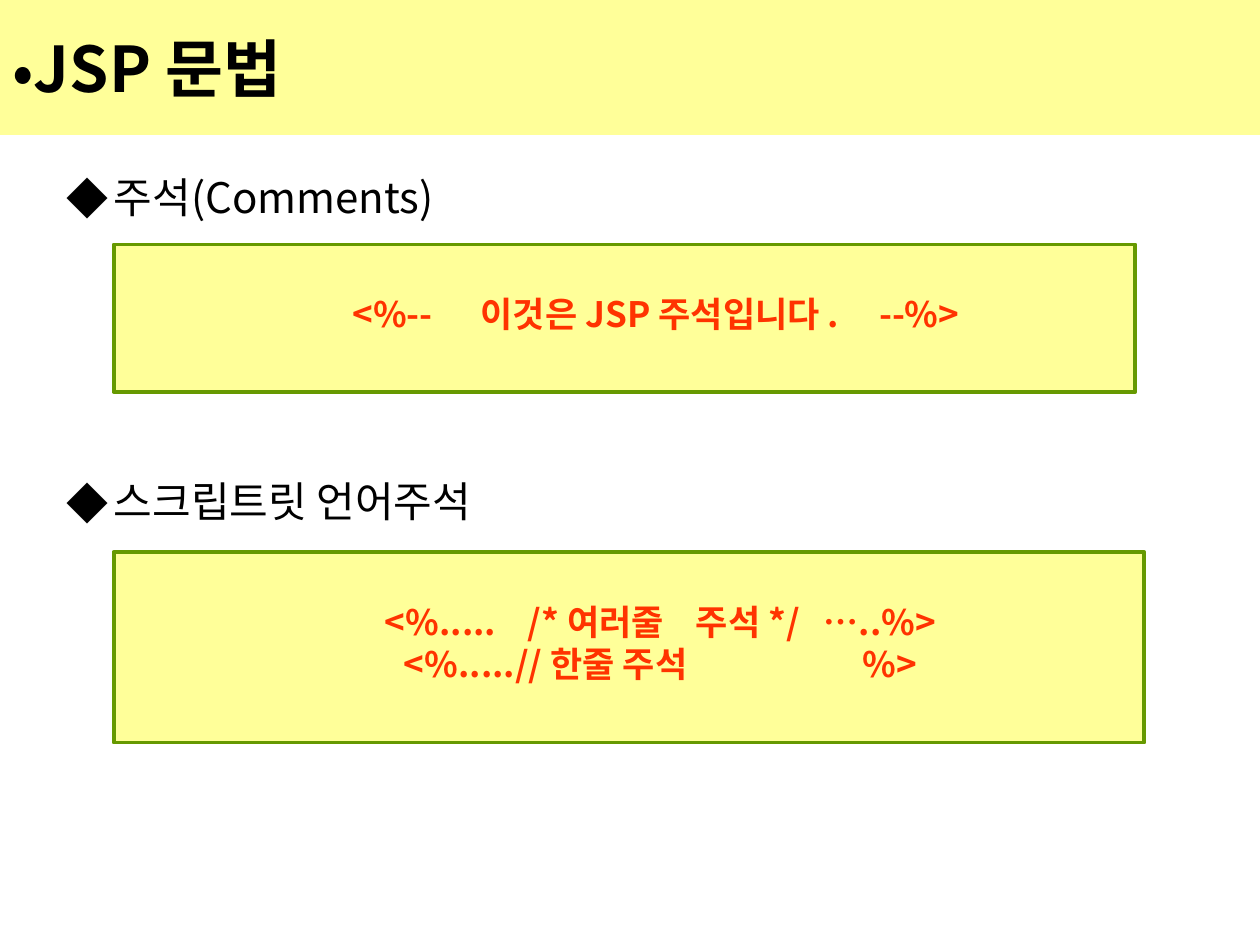
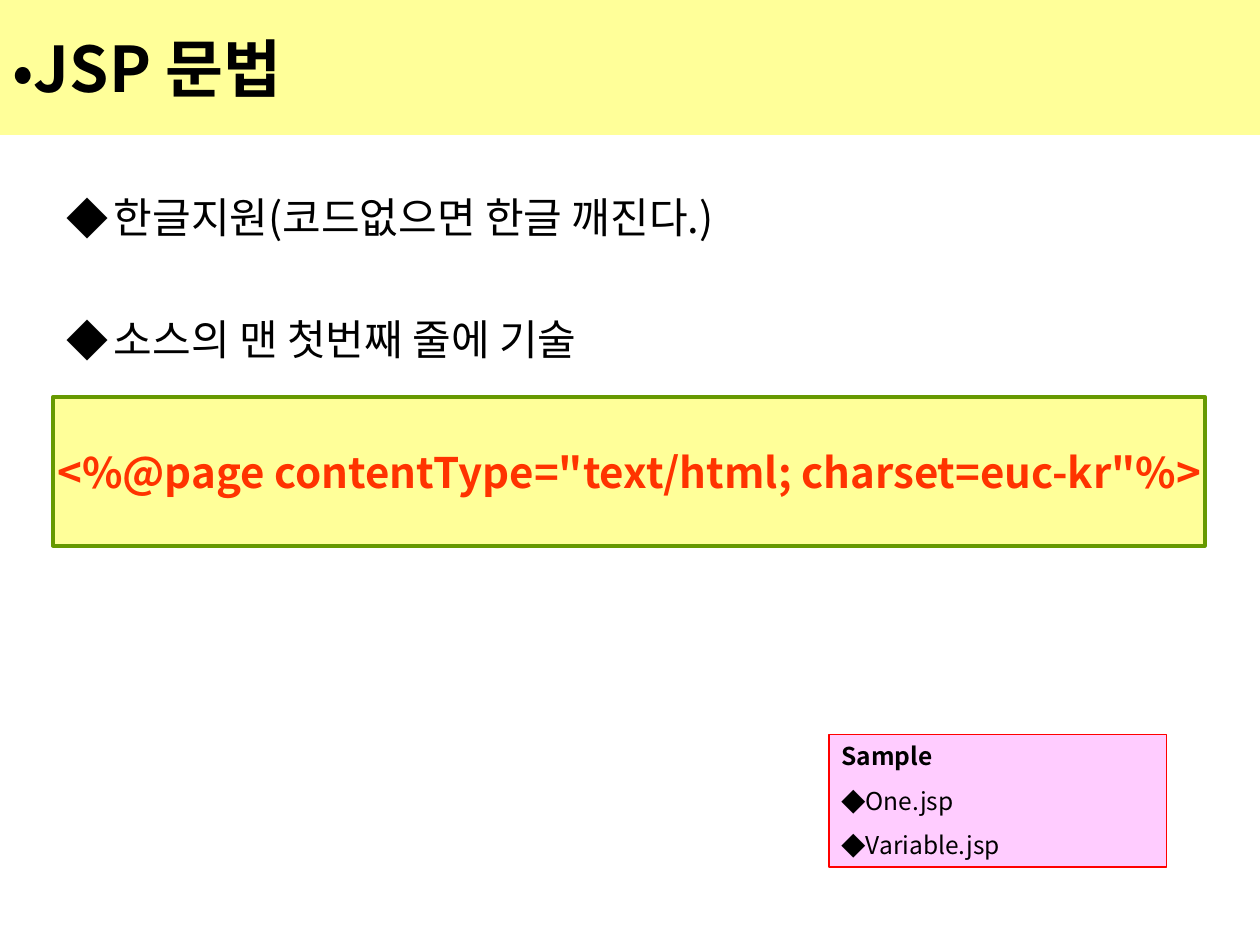
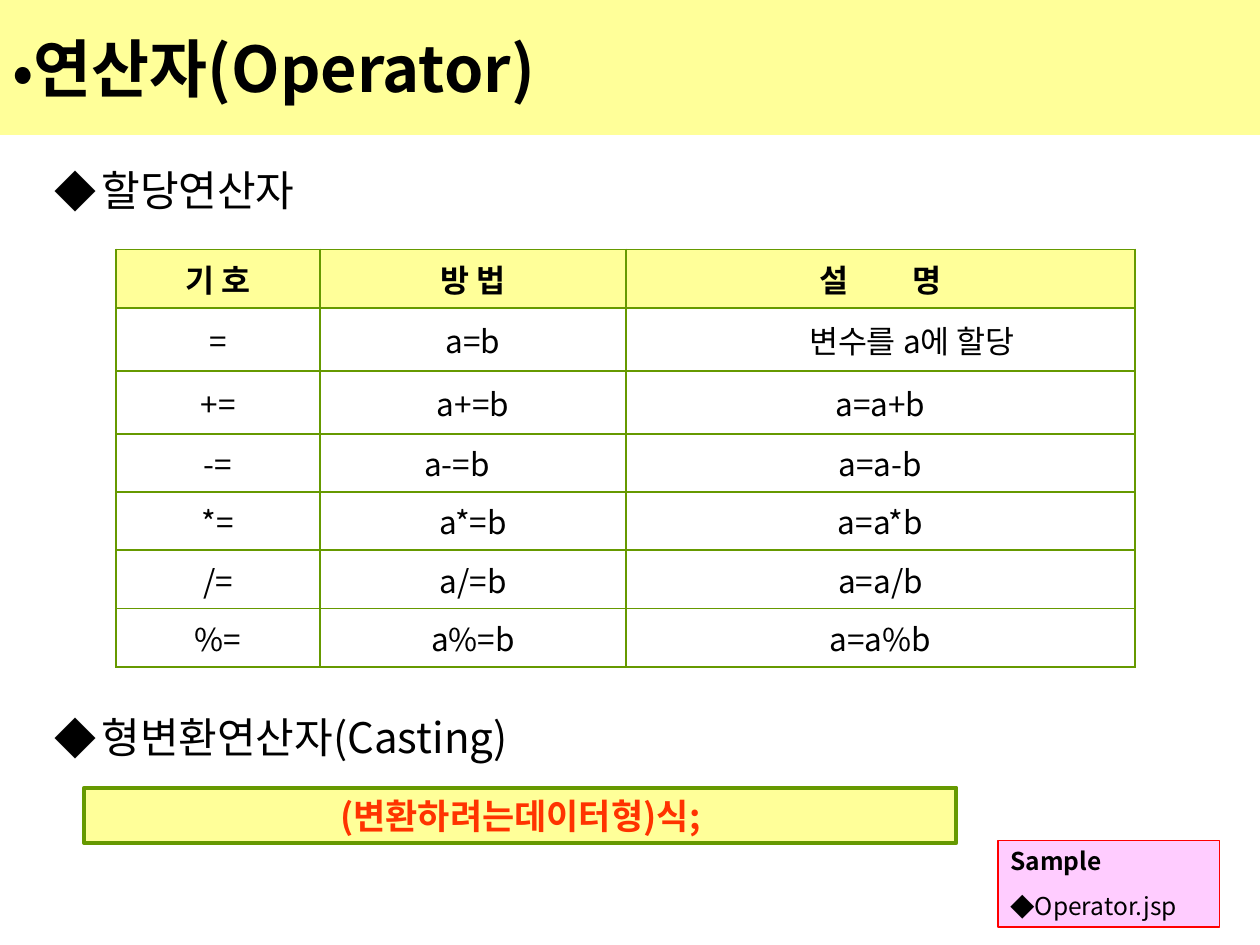
from dataclasses import dataclass

from lxml import etree
from pptx import Presentation
from pptx.dml.color import RGBColor
from pptx.enum.shapes import MSO_SHAPE
from pptx.enum.text import MSO_ANCHOR, MSO_AUTO_SIZE, PP_ALIGN
from pptx.oxml.ns import qn
from pptx.util import Cm, Pt

RECTANGLE = MSO_SHAPE.RECTANGLE
LEFT, CENTER = PP_ALIGN.LEFT, PP_ALIGN.CENTER
TOP, MIDDLE = MSO_ANCHOR.TOP, MSO_ANCHOR.MIDDLE
NO_AUTOFIT = MSO_AUTO_SIZE.NONE

FONT = "Noto Sans CJK KR"
COLORS = {
    "band": "FFFF99",
    "frame": "669900",
    "code": "FF3300",
    "text": "000000",
    "sample": "FFCCFF",
    "sample_line": "FF0000",
}
TOPIC_GAP = 6  # points between neighbouring topics
TOPIC_LINE = 28.74  # height in points of a topic line


@dataclass
class Area:
    """A place on the slide, in centimetres."""
    left: float
    top: float
    width: float
    height: float

    def lengths(self) -> tuple:
        return Cm(self.left), Cm(self.top), Cm(self.width), Cm(self.height)


@dataclass
class CodeBox:
    area: Area
    lines: list[str]
    size: int = 20
    indent: float = 0.25
    top_margin: float = 0.13
    anchor: MSO_ANCHOR = TOP
    wrap: bool = True


@dataclass
class SampleBox:
    area: Area
    files: list[str]


@dataclass
class Topics:
    area: Area
    entries: list[str]
    skipped_lines: int = 0  # room left between entries, in lines


# Shared text and shape helpers
def rgb(name: str) -> RGBColor:
    return RGBColor.from_string(COLORS[name])


def style(paragraph, size: float, bold: bool = False, color: str = "text",
          align=LEFT, before: float = 0, bullet: str = "", hanging: float = 0) -> None:
    paragraph.alignment = align
    paragraph.space_before = Pt(before)
    properties = paragraph._p.get_or_add_pPr()
    properties.set("marL", str(Cm(hanging)))
    properties.set("indent", str(-Cm(hanging)))
    if bullet:
        etree.SubElement(properties, qn("a:buFont"), typeface=FONT)
        etree.SubElement(properties, qn("a:buChar"), char=bullet)
    font = paragraph.font
    font.name, font.size, font.bold = FONT, Pt(size), bold
    font.color.rgb = rgb(color)
    defaults = properties.find(qn("a:defRPr"))
    etree.SubElement(defaults, qn("a:ea"), typeface=FONT)


def fill_paragraphs(frame, lines: list[str]):
    frame.text = "\n".join(lines)
    return frame.paragraphs


def place(shape, area: Area) -> None:
    shape.left, shape.top, shape.width, shape.height = area.lengths()


def add_panel(slide, area: Area, fill: str, line: str, line_width: float):
    panel = slide.shapes.add_shape(RECTANGLE, *area.lengths())
    panel.shadow.inherit = False
    panel.fill.solid()
    panel.fill.fore_color.rgb = rgb(fill)
    panel.line.color.rgb = rgb(line)
    panel.line.width = Pt(line_width)
    return panel


# Slide parts
def add_topic_slide(prs, heading: str, topics: Topics):
    slide = prs.slides.add_slide(prs.slide_layouts[1])
    title, body = slide.placeholders
    place(title, Area(0, 0, 25.4, 2.72))
    title.fill.solid()
    title.fill.fore_color.rgb = rgb("band")
    title.text_frame.text = heading
    title.text_frame.vertical_anchor = MIDDLE
    title.text_frame.auto_size = NO_AUTOFIT
    style(title.text_frame.paragraphs[0], 36, bold=True, bullet="•")

    place(body, topics.area)
    body.text_frame.auto_size = NO_AUTOFIT
    gap = TOPIC_GAP + topics.skipped_lines * (TOPIC_LINE + TOPIC_GAP)
    for i, paragraph in enumerate(fill_paragraphs(body.text_frame, topics.entries)):
        style(paragraph, 24, before=gap if i else 0, bullet="◆", hanging=0.95)
    return slide


def add_code(slide, code: CodeBox) -> None:
    frame = add_panel(slide, code.area, "band", "frame", 2.25).text_frame
    frame.word_wrap = code.wrap
    frame.vertical_anchor = code.anchor
    frame.margin_left, frame.margin_top = Cm(code.indent), Cm(code.top_margin)
    for paragraph in fill_paragraphs(frame, code.lines):
        style(paragraph, code.size, bold=True, color="code", align=CENTER)


def add_sample(slide, sample: SampleBox) -> None:
    frame = add_panel(slide, sample.area, "sample", "sample_line", 0.75).text_frame
    frame.word_wrap = True
    frame.vertical_anchor = TOP
    heading, *files = fill_paragraphs(frame, ["Sample", *sample.files])
    style(heading, 14, bold=True)
    for file in files:
        style(file, 14, before=8.8, bullet="◆")


def add_borders(cell) -> None:
    properties = cell._tc.get_or_add_tcPr()
    for i, side in enumerate(("lnL", "lnR", "lnT", "lnB")):
        border = etree.Element(qn(f"a:{side}"), w=str(Pt(1.08)))
        fill = etree.SubElement(border, qn("a:solidFill"))
        etree.SubElement(fill, qn("a:srgbClr"), val=COLORS["frame"])
        properties.insert(i, border)


def add_operator_table(slide) -> None:
    operators = ["=", "+=", "-=", "*=", "/=", "%="]
    rows = [["기 호", "방 법", "설 명"], ["=", "a=b", "변수를 a에 할당"]]
    rows += [[op, f"a{op}b", f"a=a{op[0]}b"] for op in operators[1:]]
    widths = [4.11, 6.17, 10.26]
    heights = [1.07, 1.27, 1.27, 1.09, 1.07, 1.07, 1.07]
    area = Area(2.34, 5.03, sum(widths), sum(heights))
    table = slide.shapes.add_table(len(rows), len(widths), *area.lengths()).table
    for column, width in zip(table.columns, widths):
        column.width = Cm(width)
    for r, (row, height) in enumerate(zip(rows, heights)):
        table.rows[r].height = Cm(height)
        for c, text in enumerate(row):
            cell = table.cell(r, c)
            cell.text = text
            cell.vertical_anchor = MIDDLE
            if r == 0:
                cell.fill.solid()
                cell.fill.fore_color.rgb = rgb("band")
            else:
                cell.fill.background()
            style(cell.text_frame.paragraphs[0], 18, bold=r == 0, align=CENTER)
            add_borders(cell)
    table.cell(1, 2).margin_left = Cm(1.52)
    table.cell(3, 1).margin_right = Cm(0.9)

    # Spread the two syllables of the last heading
    meaning = table.cell(0, 2).text_frame.paragraphs[0]
    first = meaning.runs[0]
    first.text = "설 "
    first._r.get_or_add_rPr().set("spc", "1600")
    meaning.add_run().text = "명"


def main() -> None:
    prs = Presentation()
    prs.slide_width, prs.slide_height = Cm(25.4), Cm(19.05)

    # Comments
    comments = add_topic_slide(prs, "JSP 문법", Topics(
        Area(1.09, 3.33, 22.86, 12.57), ["주석(Comments)", "스크립트릿 언어주석"], 4))
    add_code(comments, CodeBox(
        Area(2.29, 11.13, 20.78, 3.84),
        ["<%.....    /* 여러줄    주석 */   …..%>",
         "<%.....// 한줄 주석                      %>"],
        indent=1.52, top_margin=0.97))
    add_code(comments, CodeBox(
        Area(2.29, 4.93, 20.6, 2.97),
        ["<%--      이것은 JSP 주석입니다 .     --%>"],
        indent=1.52, top_margin=0.97))

    # Korean text support
    korean = add_topic_slide(prs, "JSP 문법", Topics(
        Area(1.09, 3.73, 22.86, 12.57),
        ["한글지원(코드없으면 한글 깨진다.)", "소스의 맨 첫번째 줄에 기술"], 1))
    add_code(korean, CodeBox(
        Area(1.07, 8, 23.22, 3),
        ['<%@page contentType="text/html; charset=euc-kr"%>'],
        size=24, anchor=MIDDLE, wrap=False))
    add_sample(korean, SampleBox(
        Area(16.71, 14.81, 6.81, 2.67), ["One.jsp", "Variable.jsp"]))

    # Operators
    operators = add_topic_slide(prs, "연산자(Operator)", Topics(
        Area(0.84, 3.18, 22.86, 14.4), ["할당연산자", "형변환연산자(Casting)"], 8))
    add_operator_table(operators)
    add_code(operators, CodeBox(
        Area(1.7, 15.88, 17.58, 1.12), ["(변환하려는데이터형)식;"]))
    add_sample(operators, SampleBox(
        Area(20.12, 16.94, 4.47, 1.75), ["Operator.jsp"]))

    prs.save("out.pptx")


if __name__ == "__main__":
    main()
